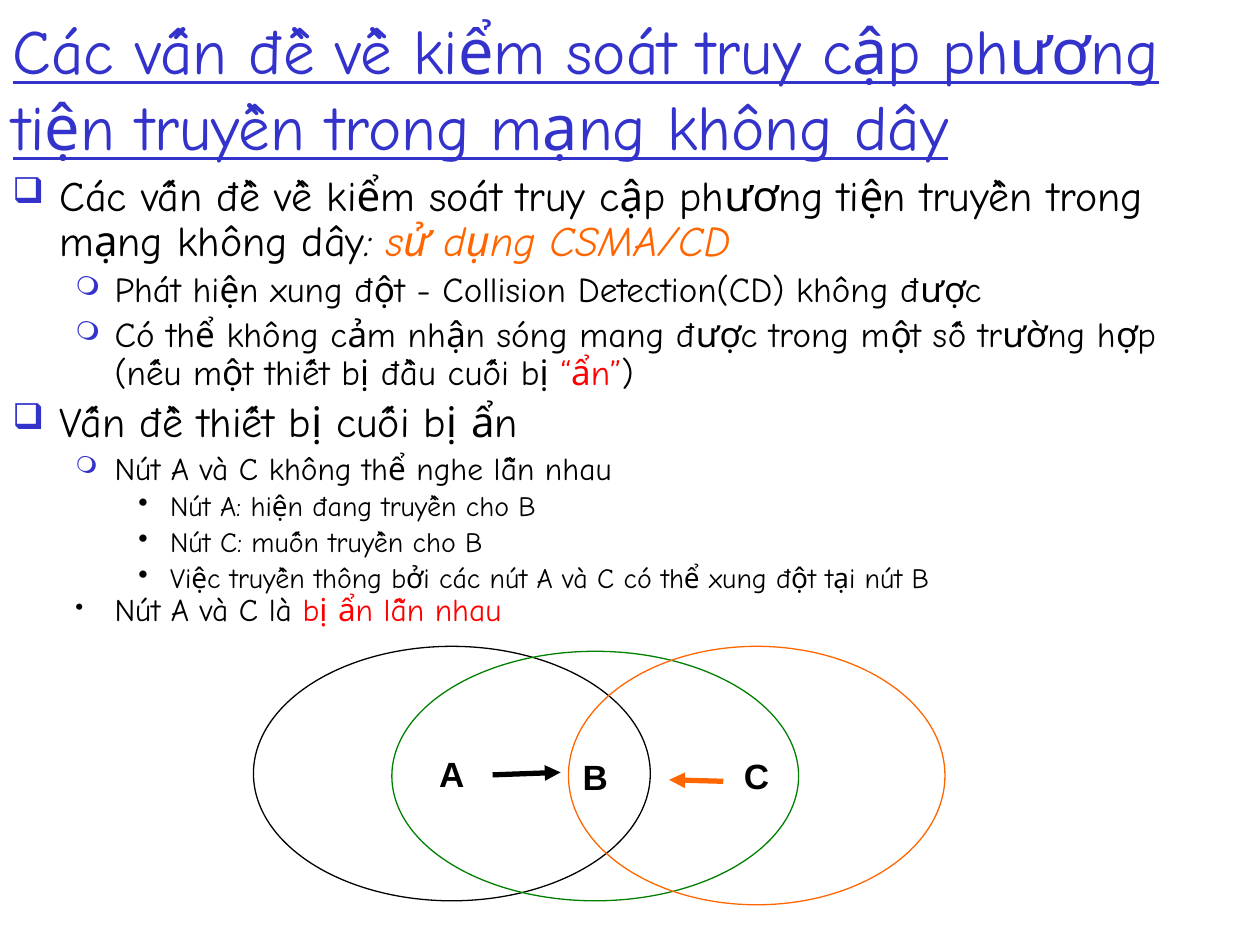
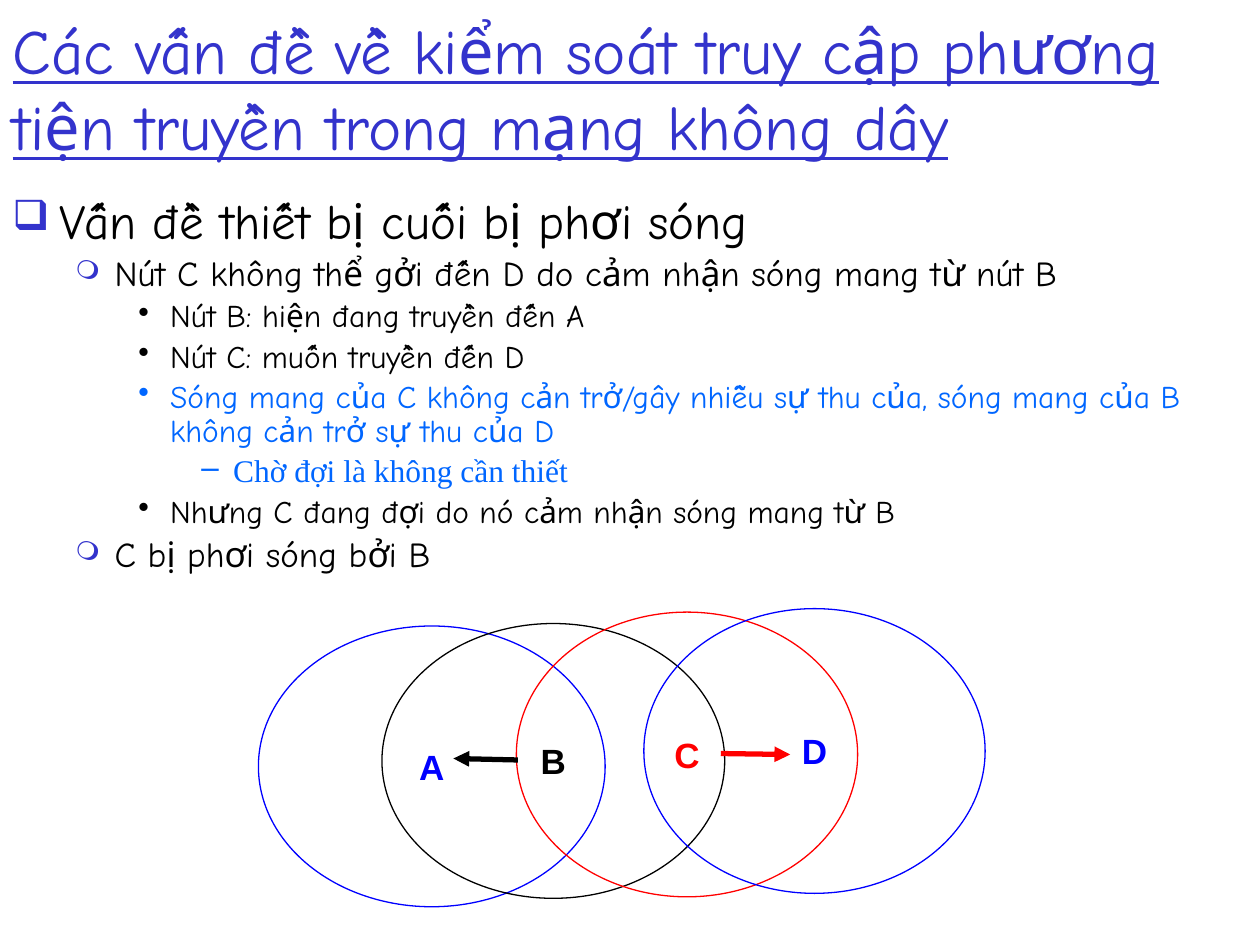
from dataclasses import dataclass

from lxml.etree import SubElement
from pptx import Presentation
from pptx.dml.color import RGBColor as Rgb
from pptx.enum.shapes import MSO_CONNECTOR as Connector, MSO_SHAPE as Preset
from pptx.enum.text import MSO_ANCHOR as Anchor, MSO_AUTO_SIZE as AutoSize, PP_ALIGN as Align
from pptx.oxml.ns import qn
from pptx.util import Cm, Pt


@dataclass(frozen=True)
class Theme:
    heading: str = "3333CC"
    black: str = "000000"
    red: str = "FF0000"
    orange: str = "FF6600"
    green: str = "008000"
    blue: str = "0000FF"
    sky: str = "0066FF"
    text_font: str = "Comic Neue"
    serif_font: str = "Times New Roman"
    label_font: str = "Arial"
    title_size: int = 36
    label_size: int = 20
    ring_width: float = 0.75
    arrow_width: float = 3
    line_spacing: float = 0.9
    space_before: float = 0.2  # share of the type size


@dataclass(frozen=True)
class Bullet:
    level: int
    left: float  # cm
    hanging: float  # cm
    character: str
    percent: int = 100
    color: str = ""


@dataclass(frozen=True)
class Item:
    bullet: Bullet
    size: int
    segments: tuple  # (text, colour, italic)
    font: str = Theme.text_font
    tight: bool = False


THEME = Theme()
TITLE = "Các vấn đề về kiểm soát truy cập phương tiện truyền trong mạng không dây"

SQUARE = Bullet(0, 0.95, 0.95, "❑", 85, THEME.heading)
CIRCLE = Bullet(1, 2.06, 0.79, "❍", 75, THEME.heading)
SMALL_DOT = Bullet(1, 2.06, 0.79, "•", 75)
DOT = Bullet(2, 3.18, 0.64, "•")
DASH = Bullet(3, 4.45, 0.64, "–")


def plain(bullet, size, text, color=THEME.black, font=THEME.text_font):
    """An item whose text has one colour."""
    return Item(bullet, size, ((text, color, False),), font)


def style_font(font, name, size, color):
    font.name = name
    font.size = Pt(size)
    font.color.rgb = Rgb.from_string(color)


def add_titled_slide(presentation):
    slide = presentation.slides.add_slide(presentation.slide_layouts[5])
    title = slide.shapes.title
    title.left, title.top, title.width, title.height = Cm(0), Cm(0.23), Cm(25.4), Cm(3.18)
    frame = title.text_frame
    frame.text = TITLE
    frame.auto_size = AutoSize.NONE
    frame.vertical_anchor = Anchor.BOTTOM
    paragraph = frame.paragraphs[0]
    paragraph.alignment = Align.LEFT
    style_font(paragraph.font, THEME.text_font, THEME.title_size, THEME.heading)
    paragraph.font.underline = True
    return slide


def set_bullet(paragraph, bullet):
    paragraph.level = bullet.level
    properties = paragraph._p.get_or_add_pPr()
    properties.set("marL", str(Cm(bullet.left)))
    properties.set("indent", str(-Cm(bullet.hanging)))
    if bullet.color:
        color = SubElement(properties, qn("a:buClr"))
        SubElement(color, qn("a:srgbClr"), val=bullet.color)
    SubElement(properties, qn("a:buSzPct"), val=str(bullet.percent * 1000))
    SubElement(properties, qn("a:buChar"), char=bullet.character)


def add_outline(slide, top, items):
    box = slide.shapes.add_textbox(Cm(0), Cm(top), Cm(24.13), Cm(7.26))
    frame = box.text_frame
    frame.word_wrap = True
    for index, item in enumerate(items):
        paragraph = frame.add_paragraph() if index else frame.paragraphs[0]
        set_bullet(paragraph, item.bullet)
        paragraph.line_spacing = THEME.line_spacing
        if index and not item.tight:
            paragraph.space_before = Pt(item.size * THEME.space_before)
        base_color = item.segments[0][1]
        style_font(paragraph.font, item.font, item.size, base_color)
        for text, color, italic in item.segments:
            run = paragraph.add_run()
            run.text = text
            if color != base_color:
                run.font.color.rgb = Rgb.from_string(color)
            if italic:
                run.font.italic = True


def add_range(slide, name, left, top, width, height, line_color, text_color):
    """The radio range of a node, with the node's name in the middle."""
    ring = slide.shapes.add_shape(Preset.OVAL, Cm(left), Cm(top), Cm(width), Cm(height))
    ring.shadow.inherit = False
    ring.fill.background()
    ring.line.color.rgb = Rgb.from_string(line_color)
    ring.line.width = Pt(THEME.ring_width)
    frame = ring.text_frame
    frame.text = name
    frame.word_wrap = False
    frame.vertical_anchor = Anchor.MIDDLE
    paragraph = frame.paragraphs[0]
    paragraph.alignment = Align.CENTER
    style_font(paragraph.font, THEME.label_font, THEME.label_size, text_color)
    paragraph.font.bold = True


def add_arrow(slide, start, end, color):
    points = [Cm(value) for value in (*start, *end)]
    arrow = slide.shapes.add_connector(Connector.STRAIGHT, *points)
    arrow.line.color.rgb = Rgb.from_string(color)
    arrow.line.width = Pt(THEME.arrow_width)
    SubElement(arrow.line._get_or_add_ln(), qn("a:tailEnd"), type="triangle")
    SubElement(arrow._element.spPr, qn("a:effectLst"))


def build_hidden_node(presentation):
    black, red, orange = THEME.black, THEME.red, THEME.orange
    slide = add_titled_slide(presentation)
    add_outline(slide, 3.4, [
        Item(SQUARE, 24, ((TITLE, black, False), (": ", black, True),
                          ("sử dụng CSMA/CD", orange, True))),
        plain(CIRCLE, 20, "Phát hiện xung đột - Collision Detection(CD) không được"),
        Item(CIRCLE, 20, (
            ("Có thể không cảm nhận sóng mang được trong một số trường hợp "
             "(nếu một thiết bị đầu cuối bị ", black, False),
            ("“ẩn”", red, False), (")", black, False))),
        plain(SQUARE, 24, "Vấn đề thiết bị cuối bị ẩn"),
        plain(CIRCLE, 18, "Nút A và C không thể nghe lẫn nhau"),
        plain(DOT, 16, "Nút A: hiện đang truyền cho B"),
        plain(DOT, 16, "Nút C: muốn truyền cho B"),
        plain(DOT, 16, "Việc truyền thông bởi các nút A và C có thể xung đột tại nút B"),
        Item(SMALL_DOT, 18, (("Nút A và C là ", black, False),
                             ("bị ẩn lẫn nhau", red, False)), tight=True),
    ])
    # A and C both send to B
    add_range(slide, "A", 5.11, 13.03, 8, 5.13, black, black)
    add_range(slide, "B", 7.9, 13.13, 8.2, 5.03, THEME.green, black)
    add_range(slide, "C", 11.46, 13.03, 7.59, 5.21, orange, black)
    add_arrow(slide, (9.93, 15.62), (11.3, 15.57), black)
    add_arrow(slide, (14.58, 15.75), (13.49, 15.72), orange)


def build_exposed_node(presentation):
    black, red, blue = THEME.black, THEME.red, THEME.blue
    slide = add_titled_slide(presentation)
    add_outline(slide, 3.84, [
        plain(SQUARE, 28, "Vấn đề thiết bị cuối bị phơi sóng"),
        plain(CIRCLE, 20, "Nút C không thể gởi đến D do cảm nhận sóng mang từ nút B"),
        plain(DOT, 18, "Nút B: hiện đang truyền đến A"),
        plain(DOT, 18, "Nút C: muốn truyền đến D"),
        plain(DOT, 18, "Sóng mang của C không cản trở/gây nhiễu sự thu của, "
                       "sóng mang của B không cản trở sự thu của D", THEME.sky),
        plain(DASH, 18, "Chờ đợi là không cần thiết", THEME.sky, THEME.serif_font),
        plain(DOT, 18, "Nhưng C đang đợi do nó cảm nhận sóng mang từ B"),
        plain(CIRCLE, 20, "C bị phơi sóng bởi B"),
    ])
    # B sends to A while C wants to send to D
    add_range(slide, "A", 5.21, 12.62, 6.99, 5.66, blue, blue)
    add_range(slide, "B", 7.7, 12.57, 6.91, 5.54, black, black)
    add_range(slide, "C", 10.41, 12.34, 6.88, 5.74, red, red)
    add_range(slide, "D", 12.98, 12.27, 6.88, 5.74, blue, blue)
    add_arrow(slide, (14.53, 15.19), (15.93, 15.21), red)
    add_arrow(slide, (10.44, 15.32), (9.14, 15.29), black)


def main():
    presentation = Presentation()
    presentation.slide_width, presentation.slide_height = Cm(25.4), Cm(19.05)
    build_hidden_node(presentation)
    build_exposed_node(presentation)
    presentation.save("out.pptx")


if __name__ == "__main__":
    main()
